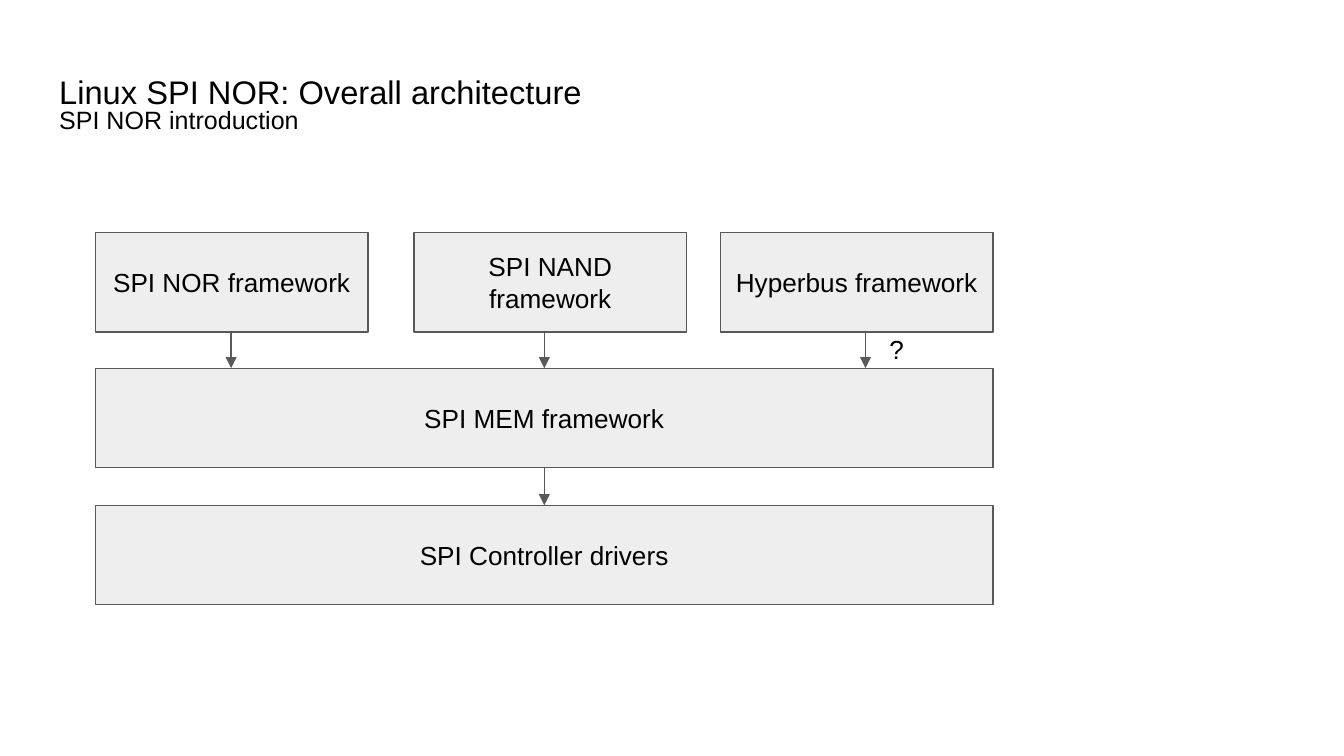
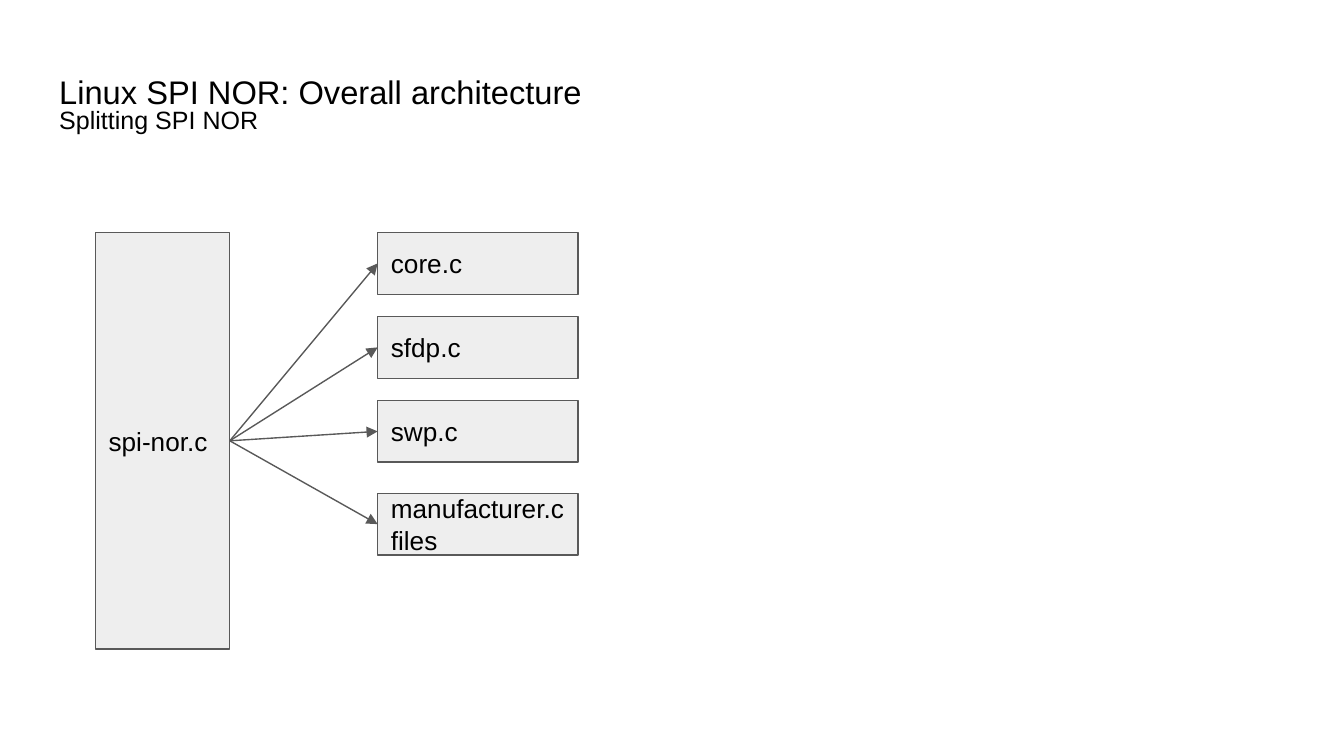
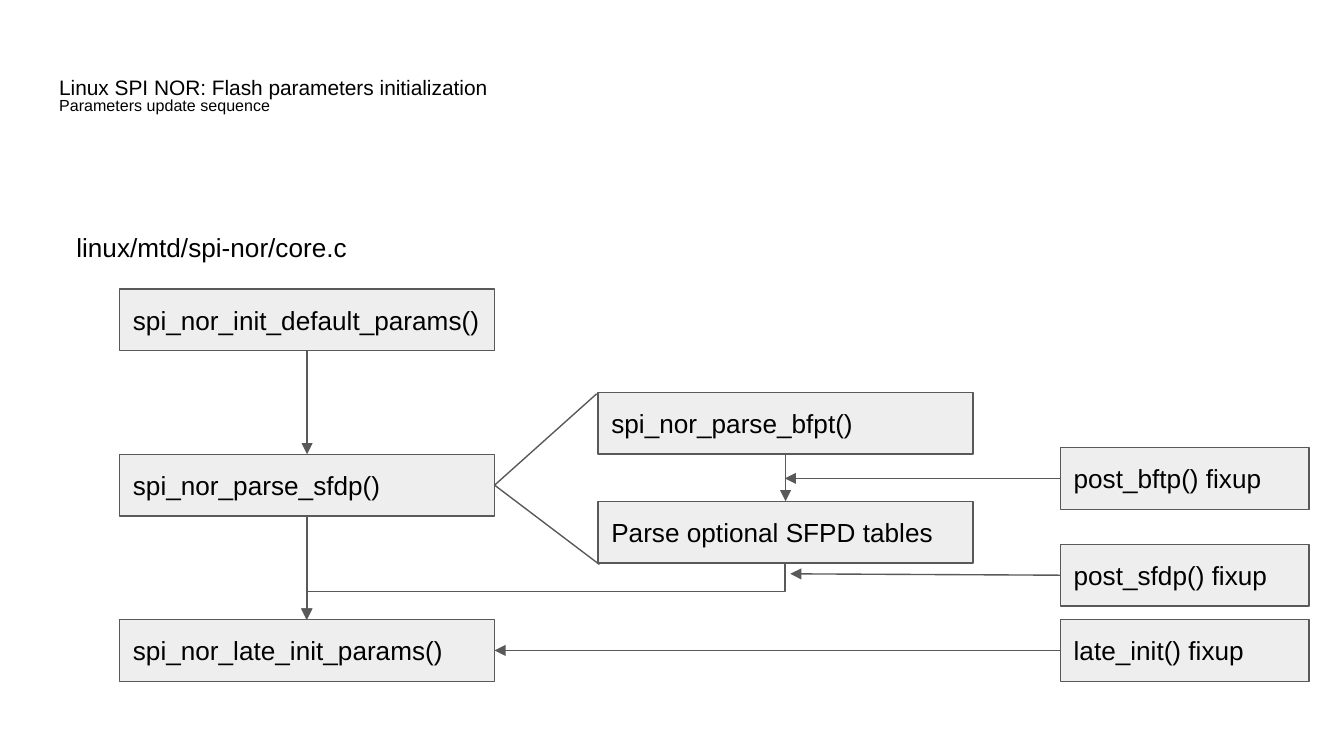
from lxml import etree
from pptx import Presentation
from pptx.dml.color import RGBColor
from pptx.enum.shapes import MSO_CONNECTOR, MSO_SHAPE
from pptx.enum.text import MSO_ANCHOR, MSO_AUTO_SIZE, PP_ALIGN
from pptx.oxml.ns import qn
from pptx.util import Inches, Pt

STRAIGHT, ELBOW = MSO_CONNECTOR.STRAIGHT, MSO_CONNECTOR.ELBOW
RECTANGLE = MSO_SHAPE.RECTANGLE
TOP_ANCHOR, MIDDLE_ANCHOR = MSO_ANCHOR.TOP, MSO_ANCHOR.MIDDLE
NO_AUTOFIT = MSO_AUTO_SIZE.NONE
LEFT_ALIGN, CENTER_ALIGN = PP_ALIGN.LEFT, PP_ALIGN.CENTER
TOP, LEFT, BOTTOM, RIGHT = range(4)
TITLE_ONLY = 5

COLORS = {"text": "000000", "box": "EEEEEE", "line": "595959"}
FONT = "Arial"
BODY_SIZE = 14
LINE_WIDTH = 0.75
COLUMNS = 100
BOX_ROWS = 4.6
QUARTER_TURN = 90 * 60000


def color(name):
    return RGBColor.from_string(COLORS[name])


class Deck:
    def __init__(self):
        self.presentation = Presentation()
        self.presentation.slide_width = Inches(10)
        self.presentation.slide_height = Inches(5.625)
        self.cell = self.presentation.slide_width / COLUMNS
        self.slide = None

    def grid(self, *cells):
        return [round(count * self.cell) for count in cells]

    def new_slide(self, heading, subheading, heading_size=17.5, subheading_size=13.4):
        layout = self.presentation.slide_layouts[TITLE_ONLY]
        self.slide = self.presentation.slides.add_slide(layout)
        title = self.slide.shapes.title
        title.left, title.top, title.width, title.height = self.grid(3.4, 4.9, 93.2, 6.3)
        paragraph = self.frame(title, TOP_ANCHOR).paragraphs[0]
        paragraph.line_spacing = 0.8
        self.style(paragraph, LEFT_ALIGN)
        run = paragraph.add_run()
        run.text, run.font.size = heading, Pt(heading_size)
        paragraph.add_line_break()
        run = paragraph.add_run()
        run.text, run.font.size = subheading, Pt(subheading_size)

    def frame(self, shape, anchor):
        frame = shape.text_frame
        frame.word_wrap = True
        frame.auto_size = NO_AUTOFIT
        frame.vertical_anchor = anchor
        margin = self.grid(1)[0]
        frame.margin_left = frame.margin_right = margin
        frame.margin_top = frame.margin_bottom = margin
        return frame

    def style(self, paragraph, align):
        paragraph.alignment = align
        paragraph.font.name = FONT
        paragraph.font.color.rgb = color("text")

    def put_text(self, shape, text, anchor, align):
        paragraph = self.frame(shape, anchor).paragraphs[0]
        paragraph.text = text
        self.style(paragraph, align)
        paragraph.font.size = Pt(BODY_SIZE)

    def box(self, text, left, top, width, height=BOX_ROWS, align=LEFT_ALIGN):
        box = self.slide.shapes.add_shape(RECTANGLE, *self.grid(left, top, width, height))
        box.shadow.inherit = False
        box.fill.solid()
        box.fill.fore_color.rgb = color("box")
        self.stroke(box)
        self.put_text(box, text, MIDDLE_ANCHOR, align)
        return box

    def label(self, text, left, top, width, height=4.3):
        label = self.slide.shapes.add_textbox(*self.grid(left, top, width, height))
        self.put_text(label, text, TOP_ANCHOR, LEFT_ALIGN)

    def stroke(self, shape):
        shape.line.color.rgb = color("line")
        shape.line.width = Pt(LINE_WIDTH)

    def line(self, start, end, arrow=True, kind=STRAIGHT):
        connector = self.slide.shapes.add_connector(kind, *self.grid(*start, *end))
        self.stroke(connector)
        properties = connector.element.spPr
        if arrow:
            outline = properties.find(qn("a:ln"))
            etree.SubElement(outline, qn("a:tailEnd"), type="triangle")
        etree.SubElement(properties, qn("a:effectLst"))
        return connector

    def link(self, source, source_side, target, target_side):
        connector = self.line((0, 0), (1, 1))
        connector.begin_connect(source, source_side)
        connector.end_connect(target, target_side)

    def drop_elbow(self, start, end):
        middle_x, middle_y = (start[0] + end[0]) / 2, (start[1] + end[1]) / 2
        half_run, half_drop = (start[0] - end[0]) / 2, (end[1] - start[1]) / 2
        connector = self.line(
            (middle_x - half_drop, middle_y - half_run),
            (middle_x + half_drop, middle_y + half_run),
            kind=ELBOW,
        )
        connector.element.spPr.find(qn("a:xfrm")).set("rot", str(QUARTER_TURN))


def add_frameworks(deck):
    deck.new_slide("Linux SPI NOR: Overall architecture", "SPI NOR introduction")
    layer_rows = 7.4
    frameworks = [
        ("SPI NOR framework", 7.1, 17.2),
        ("SPI NAND framework", 30.8, 40.5),
        ("Hyperbus framework", 53.6, 64.4),
    ]
    for name, left, arrow_x in frameworks:
        deck.box(name, left, 17.3, 20.3, layer_rows, CENTER_ALIGN)
        deck.line((arrow_x, 24.6), (arrow_x, 27.4))
    layers = [
        deck.box(name, 7.1, top, 66.8, layer_rows, CENTER_ALIGN)
        for name, top in [("SPI MEM framework", 27.4), ("SPI Controller drivers", 37.6)]
    ]
    deck.link(layers[0], BOTTOM, layers[1], TOP)
    deck.label("?", 65.2, 23.8, 7)


def add_split(deck):
    deck.new_slide("Linux SPI NOR: Overall architecture", "Splitting SPI NOR")
    driver = deck.box("spi-nor.c", 7.1, 17.3, 10, 31)
    files = [
        ("core.c", 17.3),
        ("sfdp.c", 23.55),
        ("swp.c", 29.8),
        ("manufacturer.c files", 36.7),
    ]
    for name, top in files:
        deck.link(driver, RIGHT, deck.box(name, 28.1, top, 14.9), LEFT)


def add_sequence(deck):
    deck.new_slide(
        "Linux SPI NOR: Flash parameters initialization",
        "Parameters update sequence",
        11.2,
        8.6,
    )
    deck.label("linux/mtd/spi-nor/core.c", 4.7, 16.2, 44.4)
    calls = ["spi_nor_init_default_params()", "spi_nor_parse_sfdp()", "spi_nor_late_init_params()"]
    defaults, sfdp, late = [
        deck.box(call, 8.9, 21.5 + 12.3 * step, 27.9) for step, call in enumerate(calls)
    ]
    deck.link(defaults, BOTTOM, sfdp, TOP)
    deck.link(sfdp, BOTTOM, late, TOP)

    bfpt = deck.box("spi_nor_parse_bfpt()", 44.5, 29.2, 27.9)
    optional = deck.box("Parse optional SFPD tables", 44.5, 37.3, 27.9)
    deck.link(bfpt, BOTTOM, optional, TOP)
    for corner in [(44.4, 29.3), (44.6, 42)]:
        deck.line((36.8, 36.1), corner, arrow=False)
    deck.drop_elbow((58.4, 41.9), (22.8, 46.1))

    fixups = [("post_bftp() fixup", 33.3), ("post_sfdp() fixup", 40.5), ("late_init() fixup", 46.1)]
    late_fixup = [deck.box(name, 78.9, top, 18.5) for name, top in fixups][-1]
    deck.line((78.9, 35.6), (58.4, 35.6))
    deck.line((78.9, 42.8), (58.8, 42.7))
    deck.link(late_fixup, LEFT, late, RIGHT)


def main():
    deck = Deck()
    add_frameworks(deck)
    add_split(deck)
    add_sequence(deck)
    deck.presentation.save("out.pptx")


if __name__ == "__main__":
    main()
